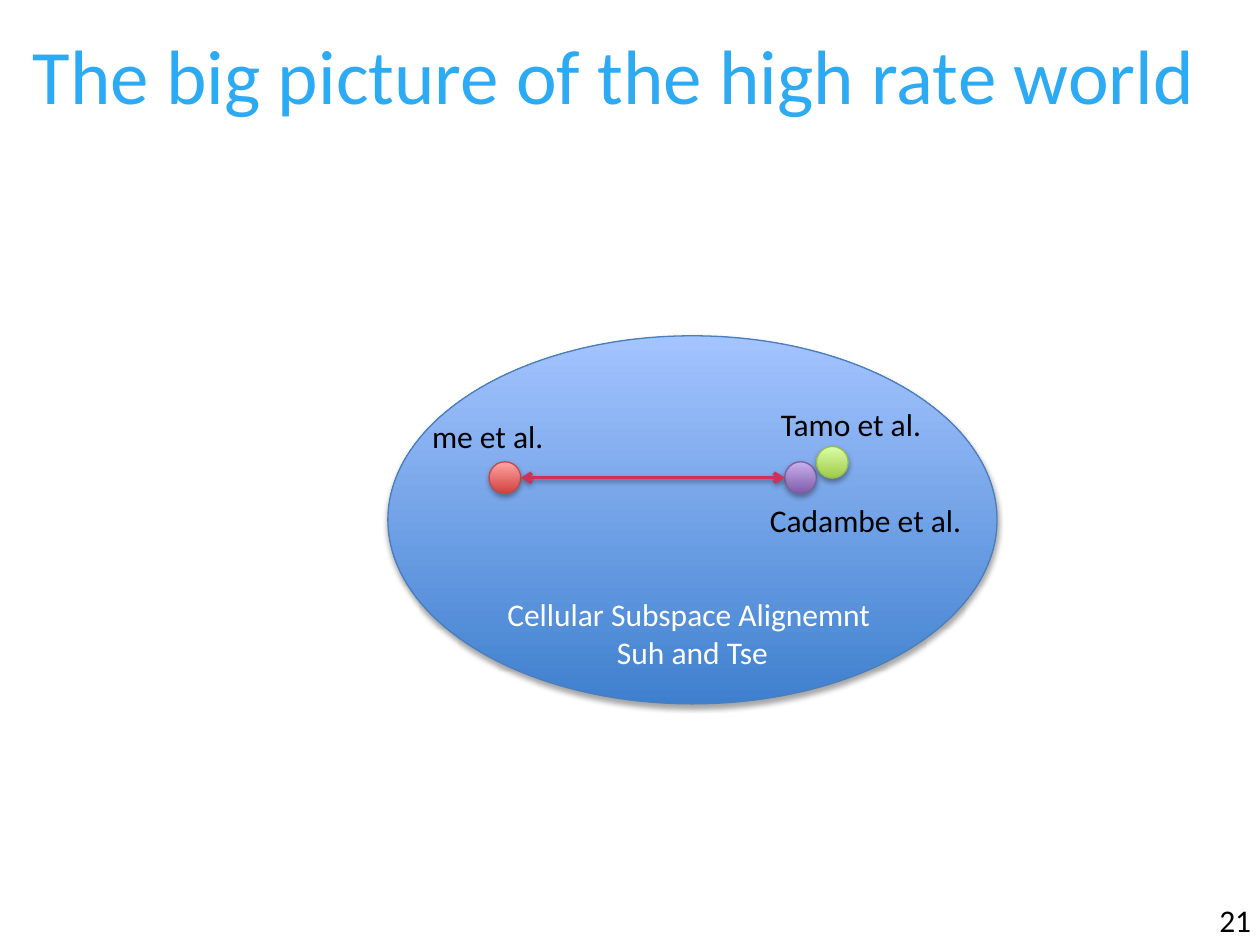
from lxml import etree
from pptx import Presentation
from pptx.dml.color import RGBColor
from pptx.enum.shapes import MSO_CONNECTOR, MSO_SHAPE
from pptx.enum.text import MSO_ANCHOR, MSO_AUTO_SIZE, PP_ALIGN
from pptx.oxml.ns import qn
from pptx.util import Cm, Pt

OVAL = MSO_SHAPE.OVAL
LINE = MSO_CONNECTOR.STRAIGHT
LEFT, MID = PP_ALIGN.LEFT, PP_ALIGN.CENTER
TOP, CENTRE = MSO_ANCHOR.TOP, MSO_ANCHOR.MIDDLE
GROW = MSO_AUTO_SIZE.SHAPE_TO_FIT_TEXT
FONT = "Calibri"
DOT = 0.64
ROW = 9.63

COLORS = {
    "title": "2DAAF4", "black": "000000", "white": "FFFFFF", "arrow": "D1305A",
    "blue_low": "3F80CE", "blue_top": "A4C4FF", "blue_edge": "4B7EBC",
    "plum_low": "7F5BAB", "plum_top": "C8B0ED", "plum_edge": "7D60A0",
    "lime_low": "A0CA4A", "lime_top": "DAFFA5", "lime_edge": "98B955",
    "red_low": "D1403C", "red_top": "FFA6A5", "red_edge": "BF4C48",
}


def color(name):
    return RGBColor.from_string(COLORS[name])


def write(frame, text, size=18, ink="black", align=LEFT, anchor=TOP, wrap=True):
    frame.word_wrap = wrap
    frame.vertical_anchor = anchor
    frame.text = text
    for para in frame.paragraphs:
        para.alignment = align
        para.font.name = FONT
        para.font.size = Pt(size)
        para.font.color.rgb = color(ink)


def shade(shape, alpha, dist):
    props = shape._element.spPr
    effects = etree.SubElement(props, qn("a:effectLst"))
    outer = etree.SubElement(
        effects, qn("a:outerShdw"), blurRad=str(Pt(3.1)), dist=str(Pt(dist)),
        dir="5400000", rotWithShape="0")
    tint = etree.SubElement(outer, qn("a:srgbClr"), val=COLORS["black"])
    etree.SubElement(tint, qn("a:alpha"), val=str(alpha * 1000))


def add_oval(slide, x, y, w, h, hue):
    oval = slide.shapes.add_shape(OVAL, Cm(x), Cm(y), Cm(w), Cm(h))
    oval.fill.gradient()
    oval.fill.gradient_angle = 90
    for stop, end, place in zip(oval.fill.gradient_stops, ("low", "top"), (0, 1)):
        stop.color.rgb = color(f"{hue}_{end}")
        stop.position = place
    oval.line.color.rgb = color(f"{hue}_edge")
    oval.line.width = Pt(0.75)
    shade(oval, 35, 1.8)
    return oval


def add_arrow(slide, x1, x2, y):
    arrow = slide.shapes.add_connector(LINE, Cm(x1), Cm(y), Cm(x2), Cm(y))
    arrow.line.color.rgb = color("arrow")
    arrow.line.width = Pt(2)
    stroke = arrow.line._get_or_add_ln()
    for end in ("a:headEnd", "a:tailEnd"):
        etree.SubElement(stroke, qn(end), type="arrow")
    shade(arrow, 38, 1.6)


def add_label(slide, text, x, y, w, wrap=False):
    box = slide.shapes.add_textbox(Cm(x), Cm(y), Cm(w), Cm(1.02))
    write(box.text_frame, text, wrap=wrap)
    if not wrap:
        box.text_frame.auto_size = GROW


def add_title(slide, text):
    title = slide.shapes.title
    title.left, title.top = Cm(-0.64), Cm(0.43)
    title.width, title.height = Cm(26.04), Cm(3.18)
    write(title.text_frame, text, size=44, ink="title", align=MID)


def main():
    deck = Presentation()
    deck.slide_width, deck.slide_height = Cm(25.4), Cm(19.05)
    slide = deck.slides.add_slide(deck.slide_layouts[5])
    add_title(slide, "The big picture of the high rate world")

    field = add_oval(slide, 7.82, 6.77, 12.28, 7.42, "blue")
    write(field.text_frame, "Cellular Subspace Alignemnt \nSuh and Tse",
          ink="white", align=MID, anchor=CENTRE)
    field.text_frame.margin_top = Cm(4.57)
    field.text_frame.margin_bottom = 0

    near, far = 9.86, 15.82
    for x, y, hue in ((far, ROW - DOT / 2, "plum"),
                      (far + DOT, 9, "lime"),
                      (near, ROW - DOT / 2, "red")):
        add_oval(slide, x, y, DOT, DOT, hue)
    add_arrow(slide, near + DOT, far, ROW)

    for text, x, y, w in (("me et al.", 8.46, 8.28, 2.77),
                          ("Tamo et al.", 15.49, 8.05, 3.38),
                          ("Cadambe et al.", 15.27, 9.98, 4.42)):
        add_label(slide, text, x, y, w)
    add_label(slide, "21", 24.33, 18.03, 1.37, wrap=True)
    deck.save("out.pptx")


if __name__ == "__main__":
    main()
